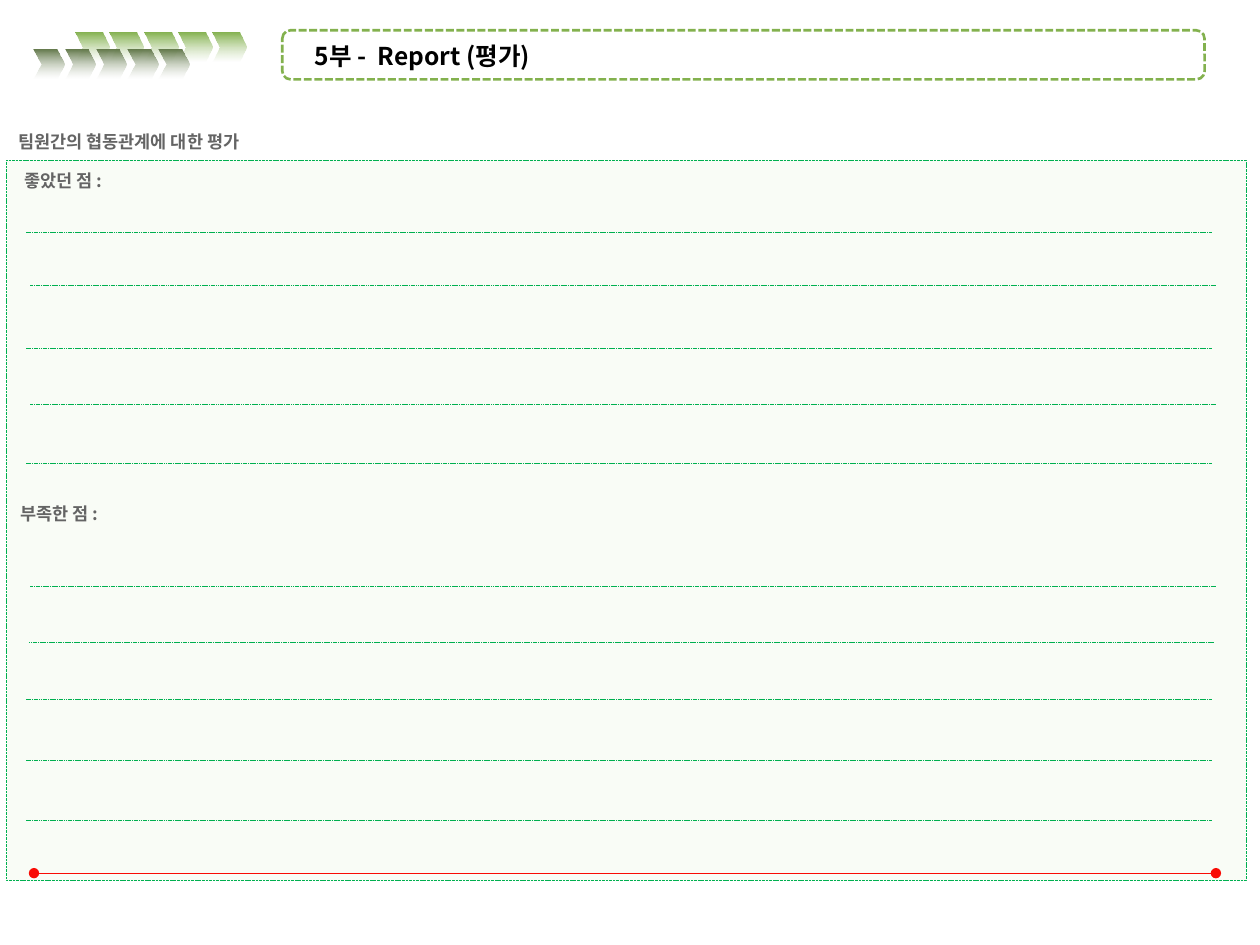
from dataclasses import dataclass

from lxml.etree import SubElement
from pptx import Presentation
from pptx.dml.color import RGBColor
from pptx.enum.dml import MSO_LINE
from pptx.enum.shapes import MSO_CONNECTOR, MSO_SHAPE
from pptx.enum.text import MSO_ANCHOR, PP_ALIGN
from pptx.oxml.ns import qn
from pptx.util import Inches, Pt

COLUMNS, ROWS = 1000, 750


@dataclass(frozen=True)
class Theme:
    """Colours, font and sizes of the report form."""
    font: str = "Noto Sans CJK KR"
    title_size: float = 14
    label_size: float = 10
    title: str = "000000"
    label: str = "646464"
    frame: str = "83B14E"
    moss: str = "617749"
    fade: str = "FFFFFF"
    tint: str = "92D050"
    rule: str = "00B050"
    footer: str = "FF0101"


@dataclass(frozen=True)
class Box:
    """A rectangle measured in grid columns and rows."""
    x: float
    y: float
    w: float
    h: float

    def inner(self, dx, dy, w, h):
        """Return a box offset from this one's corner."""
        return Box(self.x + dx, self.y + dy, w, h)

    def lengths(self):
        """Return left, top, width and height as slide lengths."""
        return [grid(v) for v in (self.x, self.y, self.w, self.h)]


THEME = Theme()


def grid(cells):
    """Turn grid cells into a slide length."""
    return Inches(10 * cells / COLUMNS)


def set_alpha(colour_node, percent):
    """Give a colour element its opacity."""
    SubElement(colour_node, qn("a:alpha"), val=str(percent * 1000))


def style_line(line, colour, width, dash=None):
    """Set a line's colour, width and dash."""
    line.color.rgb = RGBColor.from_string(colour)
    line.width = Pt(width)
    if dash:
        line.dash_style = dash


def add_preset(slide, preset, box):
    """Add an unfilled preset shape without shadow."""
    shape = slide.shapes.add_shape(preset, *box.lengths())
    shape.shadow.inherit = False
    shape.fill.background()
    return shape


def add_rule(slide, start, end, colour, width, dash=None, ends=None):
    """Draw a straight rule between two grid points."""
    rule = slide.shapes.add_connector(
        MSO_CONNECTOR.STRAIGHT, *(grid(v) for v in (*start, *end)))
    style_line(rule.line, colour, width, dash)
    if ends:
        outline = rule.line._get_or_add_ln()
        for tag in ("a:headEnd", "a:tailEnd"):
            SubElement(outline, qn(tag), type=ends)
    SubElement(rule._element.spPr, qn("a:effectLst"))


def write(paragraph, words, size, colour):
    """Add one bold run to a left-aligned paragraph."""
    paragraph.alignment = PP_ALIGN.LEFT
    run = paragraph.add_run()
    run.text = words
    run.font.size = Pt(size)
    run.font.bold = True
    run.font.name = THEME.font
    run.font.color.rgb = RGBColor.from_string(colour)
    SubElement(run._r.get_or_add_rPr(), qn("a:ea"), typeface=THEME.font)


def add_caption(slide, box, words, size, colour, wrap=True):
    """Add a one-line text box."""
    frame = slide.shapes.add_textbox(*box.lengths()).text_frame
    frame.word_wrap = wrap
    write(frame.paragraphs[0], words, size, colour)


def add_chevron_row(slide, box, steps, pitch, notch, colour, opacity):
    """Repeat a fading chevron across the steps, starting from the box."""
    for step in steps:
        chevron = add_preset(slide, MSO_SHAPE.CHEVRON,
                             box.inner(step * pitch, 0, box.w, box.h))
        chevron.adjustments[0] = notch
        chevron.line.fill.background()
        chevron.fill.gradient()
        chevron.fill.gradient_angle = 270
        stops = chevron.fill.gradient_stops
        for stop, position, shade in zip(stops, (0, 1), (colour, THEME.fade)):
            stop.position = position
            stop.color.rgb = RGBColor.from_string(shade)
        set_alpha(stops[1]._gs.find(qn("a:srgbClr")), opacity)


def add_header(slide, box):
    """Place the title frame, chevron ornament and title."""
    frame = add_preset(slide, MSO_SHAPE.ROUNDED_RECTANGLE,
                       box.inner(197, 0, 732, 39))
    frame.adjustments[0] = 0.17
    style_line(frame.line, THEME.frame, 1.5, MSO_LINE.SQUARE_DOT)
    add_chevron_row(slide, box.inner(33, 2, 27, 23), range(5), 27.2,
                    0.25, THEME.frame, 52)
    add_chevron_row(slide, box.inner(0, 15, 24, 23), reversed(range(5)), 24.8,
                    0.27, THEME.moss, 36)
    add_caption(slide, box.inner(213, 4, 463, 43), "5부 -  Report (평가)",
                THEME.title_size, THEME.title)


def add_evaluation(slide, box):
    """Place the tinted panel, its two prompts and the writing rules."""
    panel = add_preset(slide, MSO_SHAPE.RECTANGLE, box)
    panel.fill.solid()
    panel.fill.fore_color.rgb = RGBColor.from_string(THEME.tint)
    set_alpha(panel._element.spPr.find(qn("a:solidFill"))[0], 5)
    style_line(panel.line, THEME.rule, 0.5, MSO_LINE.SQUARE_DOT)

    prompts = panel.text_frame
    prompts.word_wrap = True
    prompts.vertical_anchor = MSO_ANCHOR.TOP
    prompts.margin_left = prompts.margin_right = grid(11)
    prompts.margin_top = prompts.margin_bottom = grid(8)
    write(prompts.paragraphs[0], " 좋았던 점 :", THEME.label_size, THEME.label)
    lacking = prompts.add_paragraph()
    lacking.space_before = Pt(178)
    write(lacking, "부족한 점 :", THEME.label_size, THEME.label)

    rule_starts = [
        (16, 57), (19, 99), (16, 149), (19, 194), (16, 241),
        (19, 338), (18, 383), (16, 428), (16, 476), (16, 524),
    ]
    for dx, dy in rule_starts:
        x, y = box.x + dx, box.y + dy
        add_rule(slide, (x, y), (x + 941, y), THEME.rule, 0.25,
                 MSO_LINE.SQUARE_DOT)
    add_caption(slide, box.inner(0, -28, 217, 54),
                "팀원간의 협동관계에 대한 평가",
                THEME.label_size, THEME.label, wrap=False)


def add_footer(slide, box):
    """Draw the red closing rule with round ends."""
    add_rule(slide, (box.x, box.y), (box.x + box.w, box.y),
             THEME.footer, 0.75, ends="oval")


def main():
    """Build and save the evaluation slide."""
    deck = Presentation()
    deck.slide_width, deck.slide_height = grid(COLUMNS), grid(ROWS)
    slide = deck.slides.add_slide(deck.slide_layouts[6])
    add_footer(slide, Box(27, 693, 938, 0))
    add_header(slide, Box(27, 24, 929, 47))
    add_evaluation(slide, Box(5, 127, 984, 572))
    deck.save("out.pptx")


if __name__ == "__main__":
    main()
